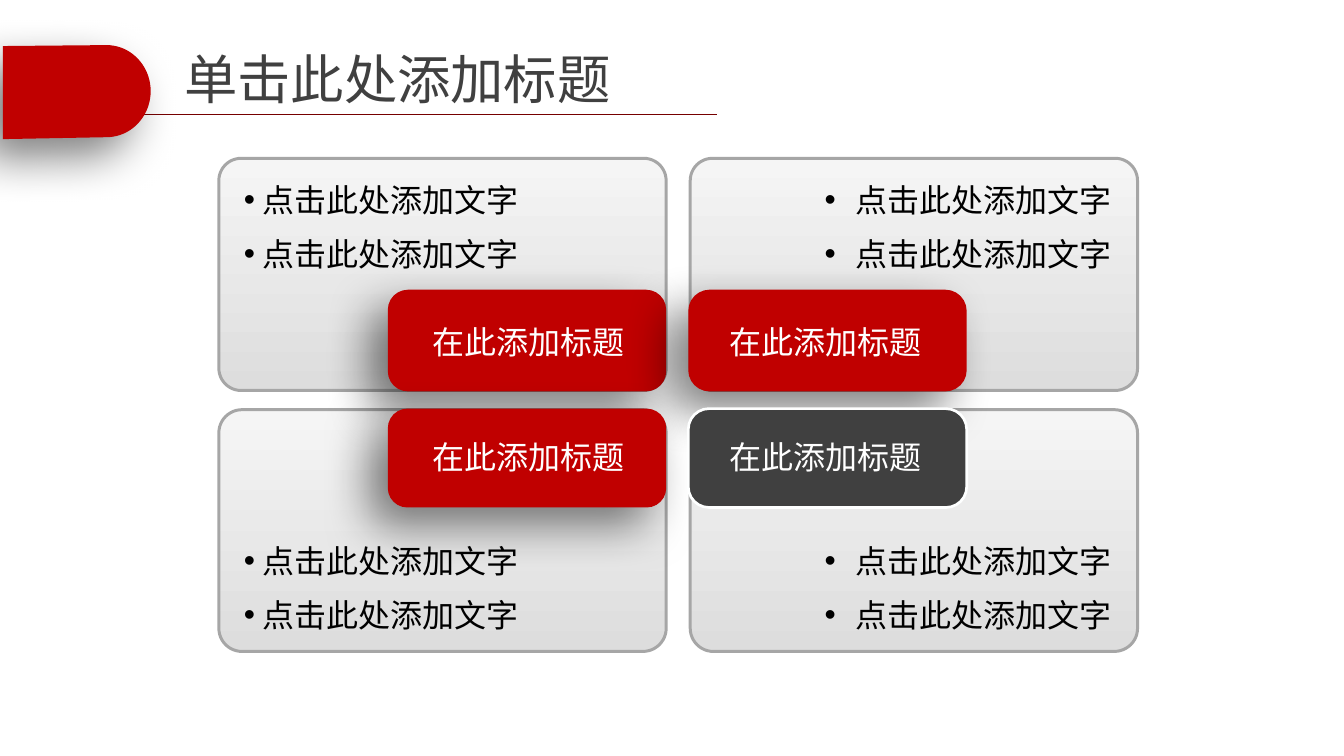
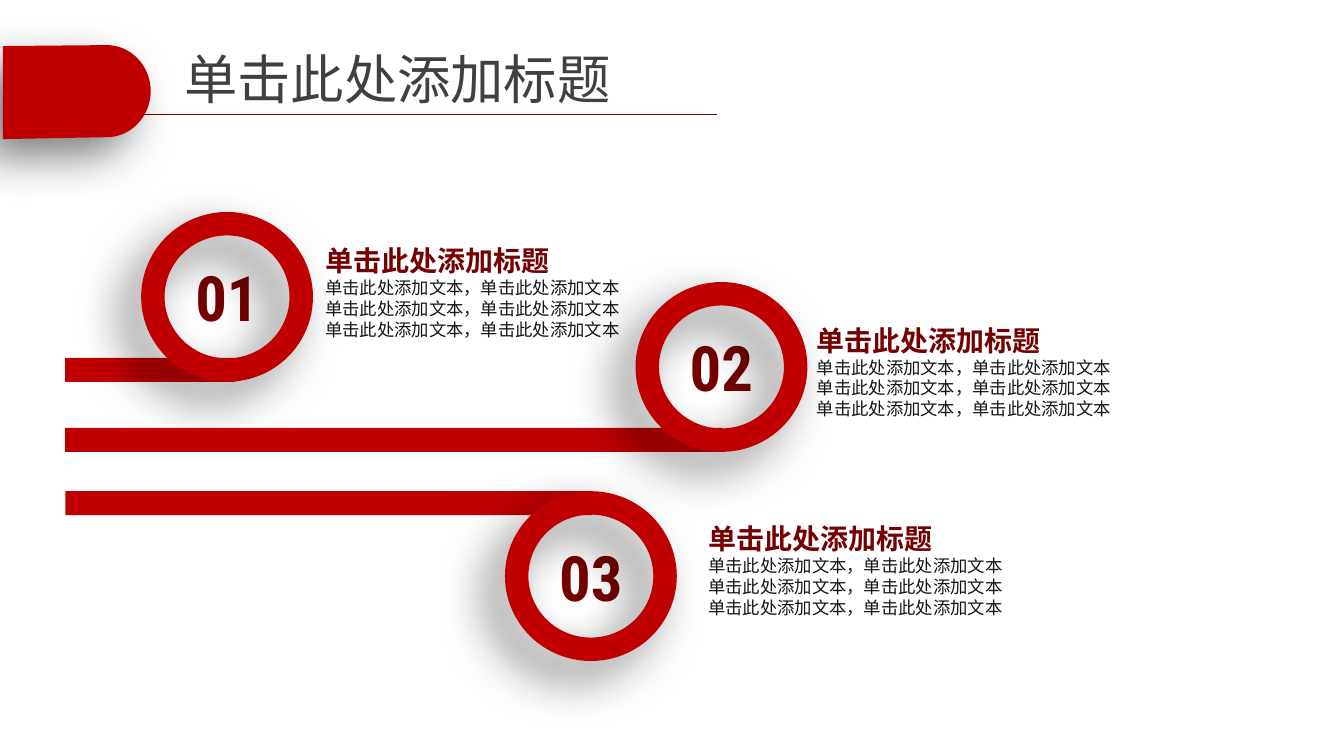
"""Build two red-themed slides: a four-panel matrix and a three-step timeline."""
from dataclasses import dataclass
from math import cos, pi, sin

from lxml import etree
from pptx import Presentation
from pptx.dml.color import RGBColor
from pptx.enum.shapes import MSO_CONNECTOR, MSO_SHAPE
from pptx.enum.text import MSO_ANCHOR, MSO_AUTO_SIZE, PP_ALIGN
from pptx.oxml.ns import qn
from pptx.util import Pt

COLOURS = {
    "red": "C00000",
    "dark_red": "760000",
    "charcoal": "404040",
    "ink": "161617",
    "black": "000000",
    "white": "FFFFFF",
    "edge": "FEFFFF",
    "panel_top": "F5F5F5",
    "panel_bottom": "DDDDDD",
    "panel_line": "A6A6A6",
}
CHINESE_FONT = "Noto Sans CJK SC"
TITLE_FONT = "Arial"
NUMBER_FONT = "Roboto Condensed"
STRAIGHT = MSO_CONNECTOR.STRAIGHT
ROUNDED = MSO_SHAPE.ROUNDED_RECTANGLE
RECTANGLE = MSO_SHAPE.RECTANGLE
OVAL = MSO_SHAPE.OVAL
DONUT = MSO_SHAPE.DONUT
TOP, MIDDLE = MSO_ANCHOR.TOP, MSO_ANCHOR.MIDDLE
GROW = MSO_AUTO_SIZE.SHAPE_TO_FIT_TEXT
LEFT, CENTER, RIGHT = PP_ALIGN.LEFT, PP_ALIGN.CENTER, PP_ALIGN.RIGHT

TITLE = "单击此处添加标题"
BADGE_TEXT = "在此添加标题"
BULLET_TEXT = " 点击此处添加文字"
BODY_LINE = "单击此处添加文本，单击此处添加文本"
RING_WIDTH, RING_HEIGHT = 128.88, 127.44
DISC_WIDTH, DISC_HEIGHT = 94.32, 92.88
BAR_LEFT, BAR_HEIGHT = 48.96, 18


@dataclass(frozen=True)
class Box:
    """A rectangle measured in points."""

    left: float
    top: float
    width: float
    height: float

    def lengths(self) -> tuple:
        """Return the four lengths for python-pptx."""
        return Pt(self.left), Pt(self.top), Pt(self.width), Pt(self.height)


@dataclass(frozen=True)
class Style:
    """The look of a run of text."""

    size: float
    colour: str
    font: str = CHINESE_FONT
    bold: bool = False


@dataclass(frozen=True)
class Column:
    """The horizontal places of one matrix column."""

    panel: float
    badge: float
    label: float
    bullets: float
    align: PP_ALIGN
    hanging: float
    radius: float


@dataclass(frozen=True)
class Row:
    """The vertical places of one matrix row."""

    panel: float
    panel_height: float
    badge: float
    badge_height: float
    label: float
    bullets: float


@dataclass(frozen=True)
class Step:
    """One numbered ring with its bar and text."""

    number: str
    ring_left: float
    ring_top: float
    bar_width: float
    bar_on_top: bool
    text_left: float
    text_top: float


TITLE_STYLE = Style(40, "charcoal", TITLE_FONT)
BADGE_STYLE = Style(24, "white")
BULLET_STYLE = Style(24, "black")
NUMBER_STYLE = Style(47, "dark_red", NUMBER_FONT, True)
HEADING_STYLE = Style(21, "dark_red", bold=True)
BODY_STYLE = Style(13, "ink")

COLUMNS = (
    Column(164.16, 290.88, 302.4, 172.8, LEFT, 0, 0.198),
    Column(517.68, 516.24, 524.88, 571.68, RIGHT, 18, 0.209),
)
ROWS = (
    Row(118.8, 174.24, 217.44, 76.32, 236.88, 130.32),
    Row(307.44, 181.44, 306.72, 74.16, 323.64, 401.04),
)
STEPS = (
    Step("01", 105.84, 159.12, 127.44, False, 235.44, 178.56),
    Step("02", 476.64, 211.68, 492.48, False, 604.08, 238.32),
    Step("03", 378.72, 368.64, 395.28, True, 522.72, 387.36),
)


def colour(name: str) -> RGBColor:
    """Look up a named colour."""
    return RGBColor.from_string(COLOURS[name])


def paint(shape, fill: str | None = None, line: str | None = None, width: float = 0) -> None:
    """Set a plain fill and outline without a theme shadow."""
    shape.shadow.inherit = False
    if fill:
        shape.fill.solid()
        shape.fill.fore_color.rgb = colour(fill)
    else:
        shape.fill.background()
    if line:
        shape.line.color.rgb = colour(line)
        shape.line.width = Pt(width)
    else:
        shape.line.fill.background()


def cast_shadow(shape) -> None:
    """Add the soft shadow that falls down and to the left."""
    effects = shape._element.spPr.find(qn("a:effectLst"))
    outer = etree.SubElement(
        effects, qn("a:outerShdw"), blurRad=str(Pt(35)), dist=str(Pt(20)),
        dir=str(135 * 60000), rotWithShape="0")
    tint = etree.SubElement(outer, qn("a:srgbClr"), val=COLOURS["black"])
    etree.SubElement(tint, qn("a:alpha"), val="50000")


def add_shape(shapes, kind: MSO_SHAPE, box: Box, adjustment: float | None = None):
    """Add a preset shape with an optional first adjustment."""
    shape = shapes.add_shape(kind, *box.lengths())
    if adjustment is not None:
        shape.adjustments[0] = adjustment
    return shape


def write(shape, lines: list[tuple[str, Style]], align: PP_ALIGN = LEFT,
          anchor: MSO_ANCHOR = TOP, inset: tuple = (8.64, 4.32), wrap: bool = True):
    """Fill a shape with one styled paragraph per line."""
    frame = shape.text_frame
    frame.word_wrap = wrap
    frame.vertical_anchor = anchor
    frame.margin_left = frame.margin_right = Pt(inset[0])
    frame.margin_top = frame.margin_bottom = Pt(inset[1])
    frame.text = "\n".join(text for text, _ in lines)
    for para, (_, style) in zip(frame.paragraphs, lines):
        para.alignment = align
        for span in para.runs:
            span.font.name = style.font
            span.font.size = Pt(style.size)
            span.font.bold = style.bold
            span.font.color.rgb = colour(style.colour)
            etree.SubElement(span.font._element, qn("a:ea"), typeface=CHINESE_FONT)
    return frame


def add_bullet(para, hanging: float) -> None:
    """Give a paragraph a dot, a hanging indent and half a line before it."""
    properties = para._p.get_or_add_pPr()
    properties.set("marL", str(Pt(hanging)))
    properties.set("indent", str(-Pt(hanging)))
    before = etree.SubElement(properties, qn("a:spcBef"))
    etree.SubElement(before, qn("a:spcPct"), val="50000")
    etree.SubElement(properties, qn("a:buFont"), typeface="Arial")
    etree.SubElement(properties, qn("a:buChar"), char="•")


def draw_header(page) -> None:
    """Draw the rule, the red tab and the slide title."""
    rule = page.shapes.add_connector(STRAIGHT, Pt(66.24), Pt(85.68), Pt(537.84), Pt(85.68))
    rule.line.color.rgb = colour("dark_red")
    rule.line.width = Pt(0.75)
    etree.SubElement(rule._element.spPr, qn("a:effectLst"))

    angles = [pi * (step / 40 - 0.5) for step in range(41)]
    arc = [(Pt(79.92 + 33.12 * cos(angle)), Pt(68.4 + 34.56 * sin(angle))) for angle in angles]
    builder = page.shapes.build_freeform(Pt(2.16), Pt(34.56))
    builder.add_line_segments([*arc, (Pt(2.16), Pt(104.4))], close=True)
    tab = builder.convert_to_shape()
    paint(tab, "red")
    cast_shadow(tab)

    title = page.shapes.add_textbox(*Box(129.6, 23.04, 681.84, 71.28).lengths())
    write(title, [(TITLE, TITLE_STYLE)], anchor=MIDDLE)


def draw_panel(page, column: Column, row: Row) -> None:
    """Draw one grey gradient panel."""
    box = Box(column.panel, row.panel, 335.52, row.panel_height)
    panel = add_shape(page.shapes, ROUNDED, box, 0.096)
    paint(panel, line="panel_line", width=2.25)
    panel.fill.gradient()
    panel.fill.gradient_angle = 270
    for stop, name in zip(panel.fill.gradient_stops, ("panel_top", "panel_bottom")):
        stop.color.rgb = colour(name)


def draw_badge(page, column: Column, row: Row, dark: bool) -> None:
    """Draw one grouped badge and its label."""
    shapes = page.shapes.add_group_shape().shapes
    box = Box(column.badge, row.badge, 208.8, row.badge_height)
    badge = add_shape(shapes, ROUNDED, box, column.radius)
    if dark:
        paint(badge, "charcoal", "edge", 2)
    else:
        paint(badge, "red")
        cast_shadow(badge)
    label = shapes.add_textbox(*Box(column.label, row.label, 187.92, 38.88).lengths())
    write(label, [(BADGE_TEXT, BADGE_STYLE)], CENTER, MIDDLE, (7.2, 3.6))


def draw_bullets(page, column: Column, row: Row) -> None:
    """Draw the two bullets of one panel."""
    area = page.shapes.add_textbox(*Box(column.bullets, row.bullets, 272.16, 82.8).lengths())
    frame = write(area, [(BULLET_TEXT, BULLET_STYLE)] * 2, column.align, inset=(10.08, 5.04))
    frame.auto_size = GROW
    for para in frame.paragraphs:
        add_bullet(para, column.hanging)


def draw_matrix(page) -> None:
    """Draw the four panels with badges and bullets."""
    cells = [(column, row) for row in ROWS for column in COLUMNS]
    for column, row in cells:
        draw_panel(page, column, row)
    for column, row in cells:
        draw_badge(page, column, row, dark=(column, row) == cells[-1])
    for column, row in cells:
        draw_bullets(page, column, row)


def draw_step(page, step: Step) -> None:
    """Draw one number, bar, ring and text block."""
    disc_box = Box(step.ring_left + (RING_WIDTH - DISC_WIDTH) / 2,
                   step.ring_top + (RING_HEIGHT - DISC_HEIGHT) / 2, DISC_WIDTH, DISC_HEIGHT)
    disc = add_shape(page.shapes, OVAL, disc_box)
    paint(disc)
    write(disc, [(step.number, NUMBER_STYLE)], CENTER, MIDDLE)

    bar_top = step.ring_top + (0 if step.bar_on_top else RING_HEIGHT - BAR_HEIGHT)
    bar_box = Box(BAR_LEFT, bar_top, step.bar_width, BAR_HEIGHT)
    paint(add_shape(page.shapes, RECTANGLE, bar_box), "red")

    ring_box = Box(step.ring_left, step.ring_top, RING_WIDTH, RING_HEIGHT)
    ring = add_shape(page.shapes, DONUT, ring_box, 0.138)
    paint(ring, "red")
    cast_shadow(ring)

    area = page.shapes.add_textbox(*Box(step.text_left, step.text_top, 239.76, 81.36).lengths())
    lines = [(TITLE, HEADING_STYLE)] + [(BODY_LINE, BODY_STYLE)] * 3
    write(area, lines, wrap=False).auto_size = GROW


def draw_timeline(page) -> None:
    """Draw the three numbered steps."""
    for step in STEPS:
        draw_step(page, step)


def main() -> None:
    """Build and save the deck."""
    deck = Presentation()
    deck.slide_width, deck.slide_height = Pt(1008), Pt(567.36)
    for draw_content in (draw_matrix, draw_timeline):
        page = deck.slides.add_slide(deck.slide_layouts[6])
        draw_header(page)
        draw_content(page)
    deck.save("out.pptx")


main()
